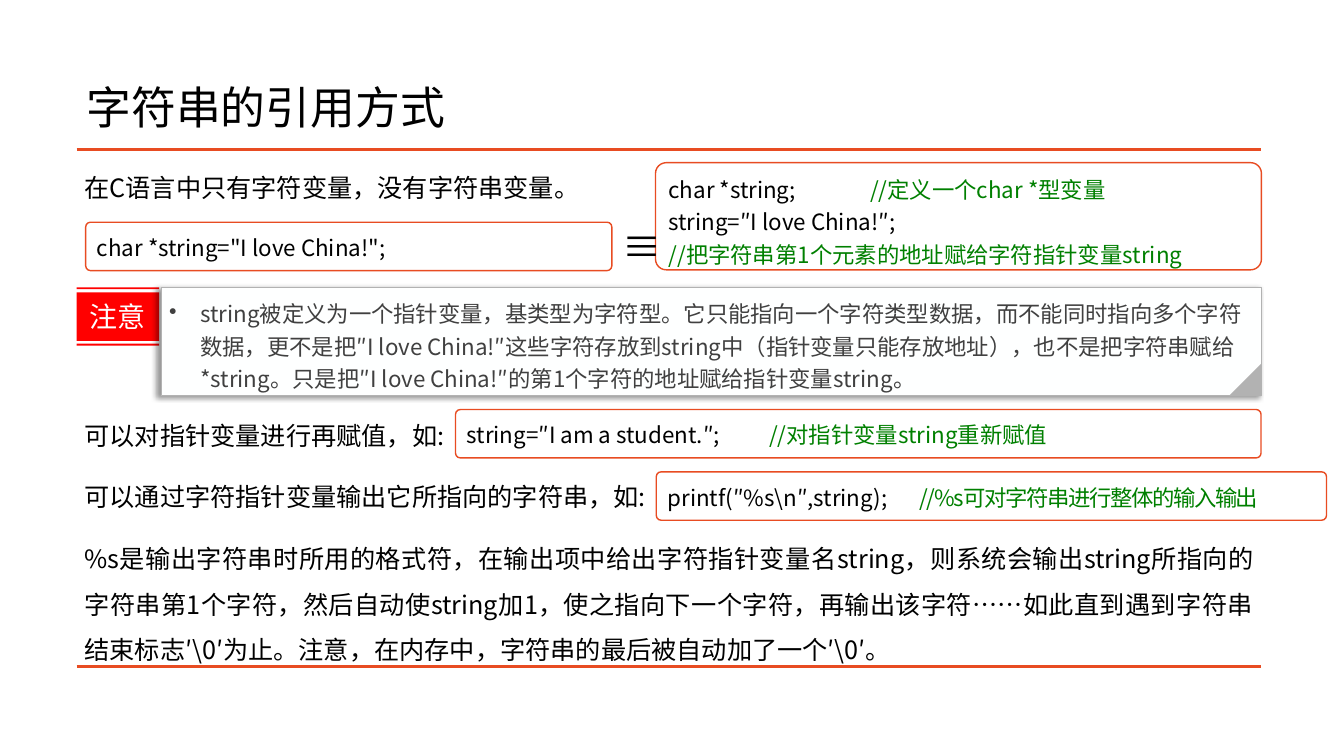
from dataclasses import dataclass

from lxml import etree
from pptx import Presentation
from pptx.dml.color import RGBColor
from pptx.enum import shapes, text
from pptx.oxml import ns, parse_xml
from pptx.util import Cm, Pt


@dataclass(frozen=True)
class Theme:
    font: str = "Noto Sans CJK SC"
    ink: str = "000000"
    accent: str = "E84C22"
    comment: str = "008000"
    alert: str = "FF0000"
    paper: str = "FFFFFF"
    note_paper: str = "FEFFFF"
    note_ink: str = "404040"
    gray: str = "B2B2B2"
    title: int = 32
    symbol: int = 28
    label: int = 20
    body: int = 18
    code: int = 16


THEME = Theme()
LEFT, WIDTH = 1.93, 29.86
BODY_TOP, BODY_STEP = 3.76, 1.56
BOTTOM_RULE = 16.8

# Body text by the row it starts on
BODY = {
    0: "在C语言中只有字符变量，没有字符串变量。",
    4: "可以对指针变量进行再赋值，如: ",
    5: "可以通过字符指针变量输出它所指向的字符串，如:",
    6: "%s是输出字符串时所用的格式符，在输出项中给出字符指针变量名string，"
       "则系统会输出string所指向的字符串第1个字符，然后自动使string加1，"
       "使之指向下一个字符，再输出该字符……如此直到遇到字符串结束标志′\\0′为止。"
       "注意，在内存中，字符串的最后被自动加了一个′\\0′。",
}
NOTE = ("string被定义为一个指针变量，基类型为字符型。它只能指向一个字符类型数据，"
        "而不能同时指向多个字符数据，更不是把″I love China!″这些字符存放到string中"
        "（指针变量只能存放地址），也不是把字符串赋给*string。"
        "只是把″I love China!″的第1个字符的地址赋给指针变量string。")


def write(shape, lines, size, color=THEME.ink, align="LEFT", anchor="TOP",
          spacing=1.0, inset=(0.25, 0.13), tracking=0, bullet=False):
    """Each line is a list of (words, colour) runs; colour None takes the default."""
    frame = shape.text_frame
    frame.word_wrap = True
    frame.vertical_anchor = getattr(text.MSO_ANCHOR, anchor)
    frame.margin_left = frame.margin_right = Cm(inset[0])
    frame.margin_top = frame.margin_bottom = Cm(inset[1])
    for number, line in enumerate(lines):
        paragraph = frame.add_paragraph() if number else frame.paragraphs[0]
        paragraph.alignment = getattr(text.PP_ALIGN, align)
        paragraph.line_spacing = spacing
        if bullet:
            properties = paragraph._p.get_or_add_pPr()
            properties.set("marL", str(Cm(0.79)))
            properties.set("indent", str(-Cm(0.79)))
            etree.SubElement(properties, ns.qn("a:buChar"), char="•")
        for words, run_color in line:
            run = paragraph.add_run()
            run.text = words
            run.font.size = Pt(size)
            run.font.name = THEME.font
            run.font.color.rgb = RGBColor.from_string(run_color or color)
            properties = run._r.get_or_add_rPr()
            etree.SubElement(properties, ns.qn("a:ea"), typeface=THEME.font)
            if tracking and run_color:
                properties.set("spc", str(tracking))


def add_text(slide, box, words, size, **style):
    shape = slide.shapes.add_textbox(*map(Cm, box))
    write(shape, [[(words, None)]], size, **style)


def add_block(slide, kind, box, fill, line=None, weight=1):
    shape = slide.shapes.add_shape(kind, *map(Cm, box))
    shape.shadow.inherit = False
    shape.fill.solid()
    shape.fill.fore_color.rgb = RGBColor.from_string(fill)
    if line:
        shape.line.color.rgb = RGBColor.from_string(line)
        shape.line.width = Pt(weight)
    else:
        shape.line.fill.background()
    return shape


def add_code(slide, box, lines, align="JUSTIFY", tracking=0):
    shape = add_block(slide, shapes.MSO_SHAPE.ROUNDED_RECTANGLE, box,
                      THEME.paper, THEME.accent)
    shape.adjustments[0] = 0.1
    write(shape, lines, THEME.code, align=align, spacing=1.2, tracking=tracking)


def add_rule(slide, top):
    rule = slide.shapes.add_connector(shapes.MSO_CONNECTOR.STRAIGHT, Cm(LEFT),
                                      Cm(top), Cm(LEFT + WIDTH), Cm(top))
    rule.line.color.rgb = RGBColor.from_string(THEME.accent)
    rule.line.width = Pt(2)
    etree.SubElement(rule._element.spPr, ns.qn("a:effectLst"))


def add_shadow(shape):
    effects = shape._element.spPr.find(ns.qn("a:effectLst"))
    effects.append(parse_xml(
        f'<a:outerShdw {ns.nsdecls("a")} blurRad="{Pt(4)}" dist="{Pt(3)}" '
        'dir="10800000" algn="r" rotWithShape="0"><a:srgbClr val="000000">'
        '<a:alpha val="40000"/></a:srgbClr></a:outerShdw>'))


def add_note(slide, top):
    rectangle = shapes.MSO_SHAPE.RECTANGLE
    # Label between two thin bars
    for offset, height in ((0, 0.05), (1.42, 0.05)):
        add_block(slide, rectangle, (LEFT, top + offset, 2.08, height), THEME.alert)
    label = add_block(slide, rectangle, (LEFT, top + 0.13, 2.08, 1.22), THEME.alert)
    write(label, [[("注意", None)]], THEME.label, color=THEME.note_paper,
          align="CENTER", anchor="MIDDLE")
    # Paper with a folded corner
    paper = add_block(slide, rectangle, (4.06, top, 27.73, 2.74),
                      THEME.note_paper, THEME.gray, 0.75)
    add_shadow(paper)
    write(paper, [[(NOTE, None)]], THEME.code, color=THEME.note_ink,
          spacing=1.2, inset=(0.2, 0.2), bullet=True)
    corner = add_block(slide, shapes.MSO_SHAPE.RIGHT_TRIANGLE,
                       (30.97, top + 1.92, 0.82, 0.82), THEME.gray)
    corner.rotation = 270


def main():
    presentation = Presentation()
    presentation.slide_width, presentation.slide_height = Cm(33.87), Cm(19.05)
    slide = presentation.slides.add_slide(presentation.slide_layouts[6])

    # Title and rules
    add_text(slide, (LEFT, 1.45, 29.21, 2.64), "字符串的引用方式", THEME.title,
             anchor="MIDDLE", spacing=0.9)
    for top in (BODY_TOP, BOTTOM_RULE):
        add_rule(slide, top)

    # Body text
    for row, words in BODY.items():
        top = BODY_TOP + row * BODY_STEP
        height = BOTTOM_RULE - top if row == max(BODY) else BODY_STEP
        add_text(slide, (LEFT, top, WIDTH, height), words, THEME.body,
                 align="JUSTIFY", spacing=1.5, inset=(0.2, 0.2))

    # Two equivalent definitions
    add_code(slide, (2.16, 5.6, 13.26, 1.22),
             [[('char *string="I love China!";', None)]])
    add_code(slide, (16.52, 4.1, 15.27, 2.7), [
        [("char *string;\t\t", None), ("//定义一个char *型变量", THEME.comment)],
        [("string=″I love China!″;", None)],
        [("//把字符串第1个元素的地址赋给字符指针变量string", THEME.comment)],
    ], align="LEFT")
    add_text(slide, (15.44, 5.46, 1.09, 1.45), "≡", THEME.symbol, align="CENTER")

    # Note
    add_note(slide, 7.24)

    # Reassignment and output
    add_code(slide, (11.48, 10.32, 20.3, 1.22), [
        [("string=″I am a student.″; \t", None),
         ("//对指针变量string重新赋值", THEME.comment)]])
    add_code(slide, (16.54, 11.89, 16.89, 1.22), [
        [("printf(″%s\\n″,string);\t", None),
         ("//%s可对字符串进行整体的输入输出", THEME.comment)]], tracking=-100)

    presentation.save("out.pptx")


if __name__ == "__main__":
    main()
